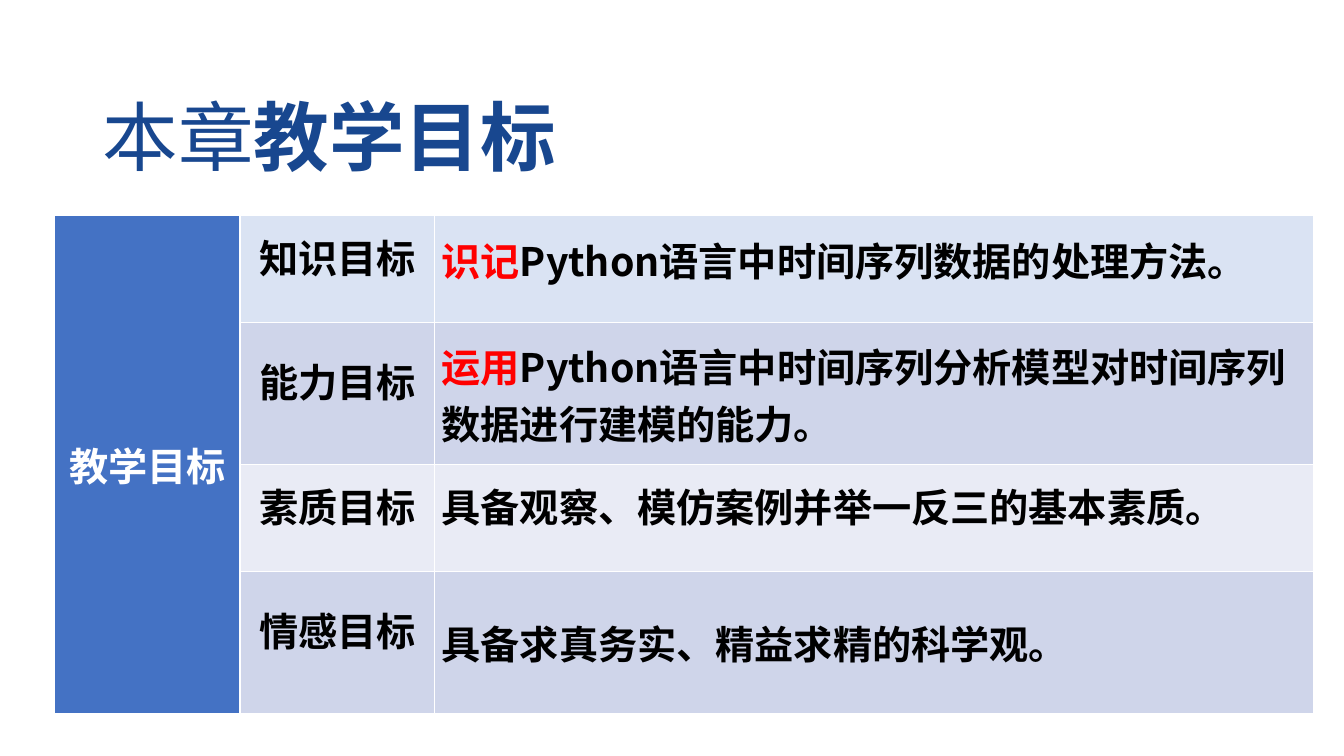
from lxml.etree import SubElement
from pptx import Presentation
from pptx.dml.color import RGBColor
from pptx.enum.text import MSO_ANCHOR as Anchor, MSO_AUTO_SIZE as AutoSize, PP_ALIGN as Align
from pptx.oxml.ns import qn
from pptx.util import Pt

FONT = "Noto Sans CJK SC"
NAVY = RGBColor(0x18, 0x47, 0x8F)
BLUE = RGBColor(0x44, 0x72, 0xC4)
PALE_BLUE = RGBColor(0xDA, 0xE3, 0xF3)
LAVENDER = RGBColor(0xCF, 0xD5, 0xEA)
PALE_LAVENDER = RGBColor(0xE9, 0xEB, 0xF5)
WHITE = RGBColor(0xFF, 0xFF, 0xFF)
BLACK = RGBColor(0, 0, 0)
RED = RGBColor(0xFF, 0, 0)


def add_run(paragraph, text, size, color, bold=True):
    run = paragraph.add_run()
    run.text = text
    run.font.name = FONT
    run.font.size = Pt(size)
    run.font.bold = bold
    run.font.color.rgb = color
    SubElement(run.font._element, qn("a:ea"), typeface=FONT)


def fill_cell(cell, fill, runs, align, spacing=None):
    cell.vertical_anchor = Anchor.MIDDLE
    cell.margin_left = cell.margin_right = Pt(5)
    cell.margin_top = cell.margin_bottom = 0
    paragraph = cell.text_frame.paragraphs[0]
    paragraph.alignment = align
    if spacing:
        paragraph.line_spacing = Pt(spacing)
    for text, color in runs:
        add_run(paragraph, text, 28, color)
    properties = cell._tc.get_or_add_tcPr()
    for side in ("a:lnL", "a:lnR", "a:lnT", "a:lnB"):
        line = SubElement(properties, qn(side), w=str(Pt(1)))
        solid = SubElement(line, qn("a:solidFill"))
        SubElement(solid, qn("a:srgbClr"), val=str(WHITE))
    cell.fill.solid()
    cell.fill.fore_color.rgb = fill


presentation = Presentation()
presentation.slide_width = Pt(960)
presentation.slide_height = Pt(540)
slide = presentation.slides.add_slide(presentation.slide_layouts[5])

title = slide.shapes.title
title.left, title.top, title.width, title.height = Pt(66), Pt(28.75), Pt(828), Pt(104.4)
title_frame = title.text_frame
title_frame.auto_size = AutoSize.NONE
title_frame.word_wrap = True
title_frame.vertical_anchor = Anchor.BOTTOM
title_paragraph = title_frame.paragraphs[0]
title_paragraph.alignment = Align.LEFT
title_paragraph.line_spacing = 0.9
add_run(title_paragraph, "本章", 54, NAVY, bold=False)
add_run(title_paragraph, "教学目标", 54, NAVY)

goals = [
    ("知识目标", [("识记", RED), ("Python语言中时间序列数据的处理方法。", BLACK)],
     PALE_BLUE, 76.3, Align.JUSTIFY, 26),
    ("能力目标", [("运用", RED), ("Python语言中时间序列分析模型对时间序列数据进行建模的能力。", BLACK)],
     LAVENDER, 101.5, Align.LEFT, None),
    ("素质目标", [("具备观察、模仿案例并举一反三的基本素质。", BLACK)],
     PALE_LAVENDER, 76.3, Align.JUSTIFY, 22),
    ("情感目标", [("具备求真务实、精益求精的科学观。", BLACK)],
     LAVENDER, 101.5, Align.LEFT, None),
]

table = slide.shapes.add_table(len(goals), 3, Pt(39), Pt(154.2), Pt(899.4), Pt(355.6)).table
for column, width in zip(table.columns, (132.5, 139, 627.9)):
    column.width = Pt(width)

table.cell(0, 0).merge(table.cell(len(goals) - 1, 0))
fill_cell(table.cell(0, 0), BLUE, [("教学目标", WHITE)], Align.CENTER)

for index, (name, runs, fill, height, align, spacing) in enumerate(goals):
    table.rows[index].height = Pt(height)
    fill_cell(table.cell(index, 1), fill, [(name, BLACK)], Align.CENTER, 22)
    fill_cell(table.cell(index, 2), fill, runs, align, spacing)

presentation.save("out.pptx")
